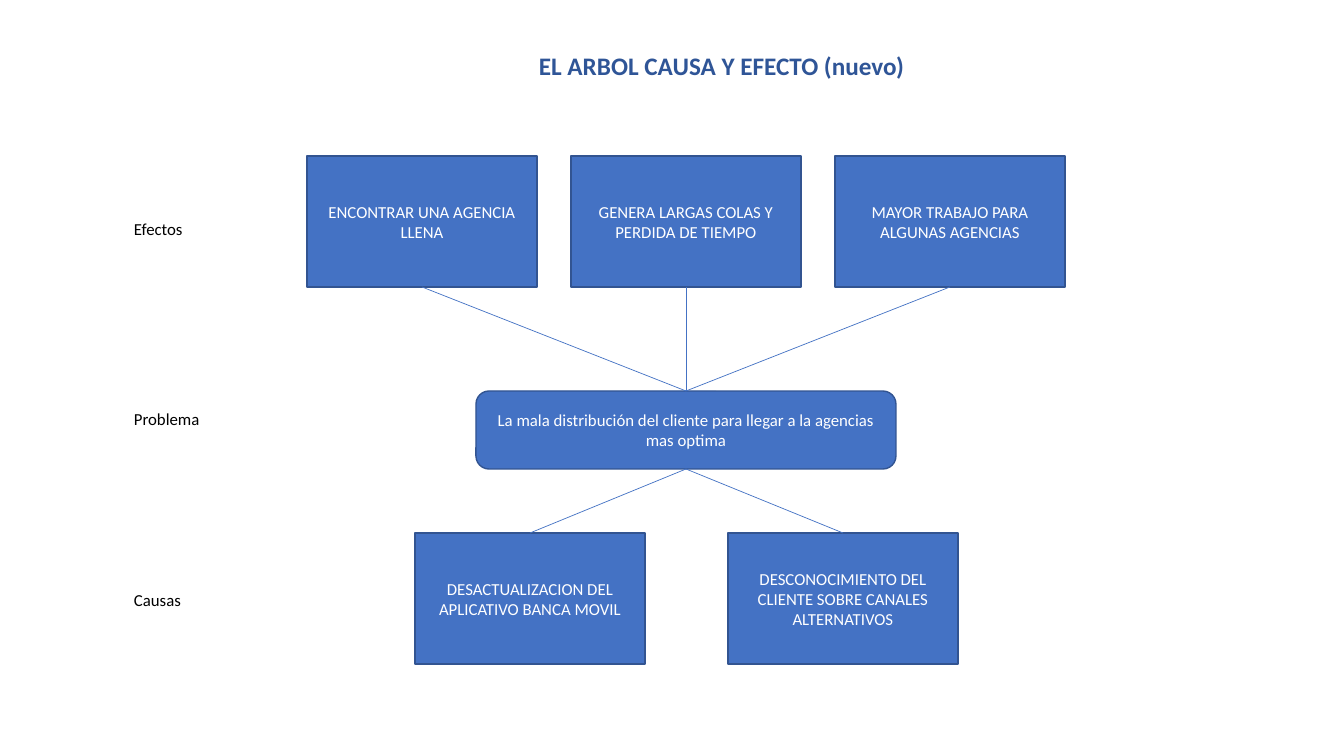
from lxml.etree import SubElement
from pptx import Presentation
from pptx.dml.color import RGBColor
from pptx.enum.shapes import MSO_CONNECTOR as Connector, MSO_SHAPE as Shape
from pptx.enum.text import MSO_ANCHOR as Anchor, MSO_AUTO_SIZE as AutoSize, PP_ALIGN as Align
from pptx.oxml.ns import qn
from pptx.util import Pt

SCALE = 914400 / 100.8
BLUE, DARK_BLUE, TITLE_BLUE = "4472C4", "325491", "2F5597"
WHITE, BLACK = "FFFFFF", "000000"
CAUSE_SIZE = EFFECT_SIZE = (230, 131)
TOP_SITE, BOTTOM_SITE = 0, 2

EFFECTS = [
    "ENCONTRAR UNA AGENCIA LLENA",
    "GENERA LARGAS COLAS Y PERDIDA DE TIEMPO",
    "MAYOR TRABAJO PARA ALGUNAS AGENCIAS",
]
PROBLEM = "La mala distribución del cliente para llegar a la agencias mas optima"
CAUSES = [
    "DESACTUALIZACION DEL APLICATIVO BANCA MOVIL",
    "DESCONOCIMIENTO DEL CLIENTE SOBRE CANALES ALTERNATIVOS",
]
LEVELS = [("Efectos", 214, 70), ("Problema", 404, 87), ("Causas", 585, 68)]


def px(length):
    """Turn pixels into EMU."""
    return round(length * SCALE)


def color(hex_code):
    """Turn a hex string into a colour."""
    return RGBColor.from_string(hex_code)


def add_run(paragraph, text, size, hex_code, bold=None):
    """Append a styled run to a paragraph."""
    run = paragraph.add_run()
    run.text = text
    run.font.name = "Calibri"
    run.font.size = Pt(size)
    run.font.bold = bold
    run.font.color.rgb = color(hex_code)


def add_label(slide, text, left, top, width, height, size=12, hex_code=BLACK, bold=None):
    """Add a single-line text that fits its frame."""
    label = slide.shapes.add_textbox(px(left), px(top), px(width), px(height))
    frame = label.text_frame
    frame.word_wrap = False
    frame.auto_size = AutoSize.SHAPE_TO_FIT_TEXT
    add_run(frame.paragraphs[0], text, size, hex_code, bold)


def add_node(slide, text, left, top, width, height, outline=Shape.RECTANGLE):
    """Add a filled box of the tree with centred text."""
    node = slide.shapes.add_shape(outline, px(left), px(top), px(width), px(height))
    node.shadow.inherit = False
    node.fill.solid()
    node.fill.fore_color.rgb = color(BLUE)
    node.line.color.rgb = color(DARK_BLUE)
    node.line.width = Pt(1)
    frame = node.text_frame
    frame.word_wrap = True
    frame.vertical_anchor = Anchor.MIDDLE
    paragraph = frame.paragraphs[0]
    paragraph.alignment = Align.CENTER
    add_run(paragraph, text, 12, WHITE)
    return node


def add_row(slide, texts, left, top, step, size):
    """Add boxes side by side at an equal step."""
    return [add_node(slide, text, left + i * step, top, *size) for i, text in enumerate(texts)]


def add_branch(slide, upper, lower):
    """Join the bottom of one box to the top of another."""
    branch = slide.shapes.add_connector(Connector.STRAIGHT, 0, 0, 0, 0)
    branch.begin_connect(upper, BOTTOM_SITE)
    branch.end_connect(lower, TOP_SITE)
    branch.line.color.rgb = color(BLUE)
    branch.line.width = Pt(0.5)
    SubElement(branch._element.spPr, qn("a:effectLst"))


def main():
    """Build the cause and effect tree."""
    deck = Presentation()
    deck.slide_width, deck.slide_height = px(1344), px(756)
    slide = deck.slides.add_slide(deck.slide_layouts[6])

    add_label(slide, "EL ARBOL CAUSA Y EFECTO (nuevo)", 529, 45, 389, 40, 18, TITLE_BLUE, True)
    for level, top, width in LEVELS:
        add_label(slide, level, 124, top, width, 30)

    effects = add_row(slide, EFFECTS, 307, 156, 264, EFFECT_SIZE)
    problem = add_node(slide, PROBLEM, 476, 391, 420, 78, Shape.ROUNDED_RECTANGLE)
    causes = add_row(slide, CAUSES, 415, 533, 313, CAUSE_SIZE)

    for effect in effects:
        add_branch(slide, effect, problem)
    for cause in causes:
        add_branch(slide, problem, cause)

    deck.save("out.pptx")


main()
